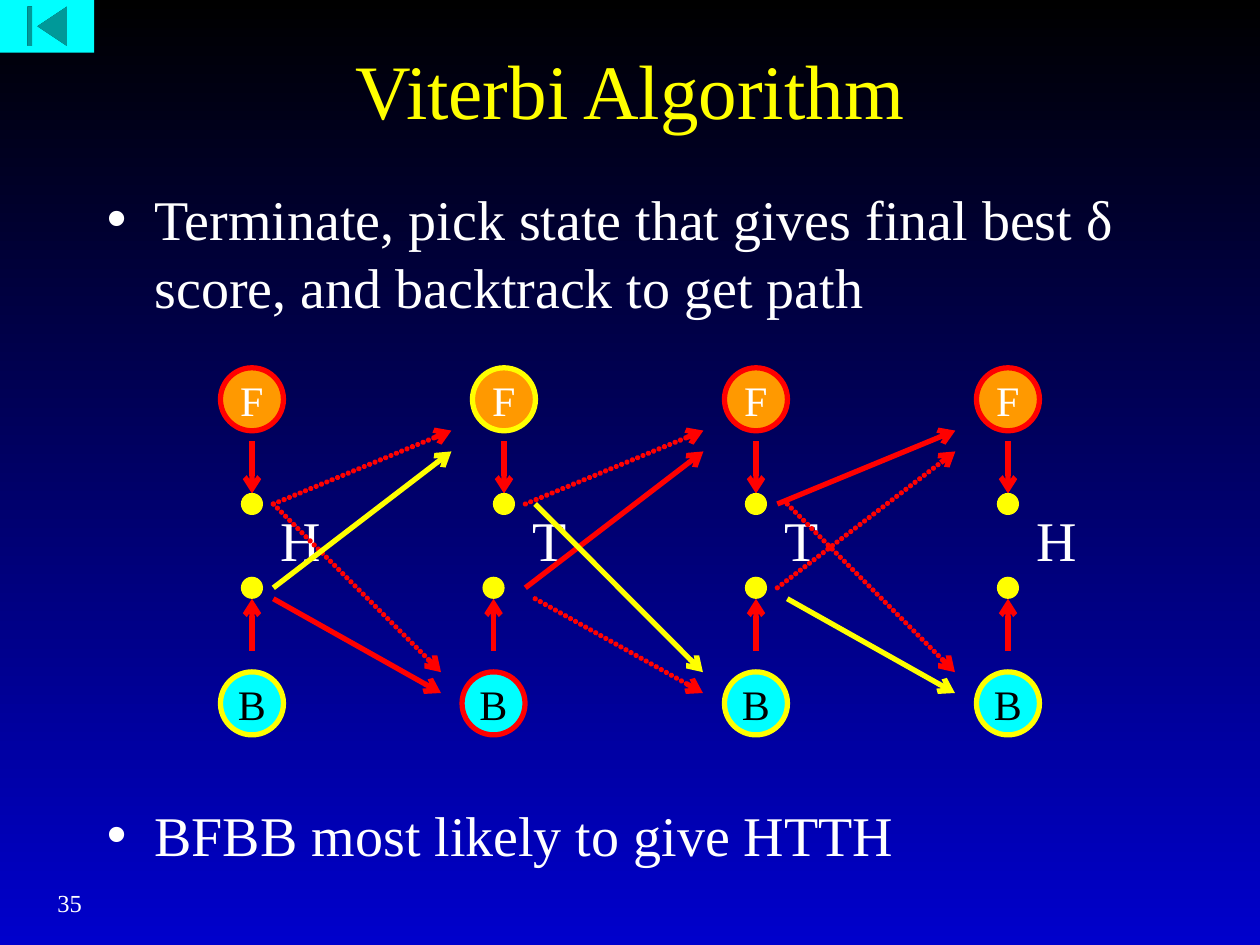
from lxml import etree
from pptx import Presentation
from pptx.dml.color import RGBColor
from pptx.enum import shapes, text
from pptx.oxml.ns import qn
from pptx.util import Cm, Pt

FONT = "Times New Roman"
RED, YELLOW, ORANGE, CYAN = "FF0000", "FFFF00", "FF9900", "00FFFF"
WHITE, BLACK, BLUE = "FFFFFF", "000000", "0000CC"

PITCH = 5.08
STATE_SIZE, DOT_SIZE = 1.27, 0.42
STATE_Y = {"F": 8.05, "B": 14.18}
DOT_Y = {"F": 10.16, "B": 11.85}
EMISSION_Y = {"F": (8.89, 9.95), "B": (13.12, 12.07)}
STATE_COLORS = {"F": (ORANGE, WHITE), "B": (CYAN, BLACK)}
TRANSITION_Y = {
    "FF": (10.16, 8.68),
    "BF": (11.85, 9.1),
    "FB": (10.16, 13.55),
    "BB": (12.07, 13.97),
}
BEST_PATH = "BFBB"
OBSERVED = "HTTH"
SECOND_BEST = ["BB", "BF", "FF"]


def color(value):
    return RGBColor.from_string(value)


def style_text(para, size, value):
    for span in para.runs:
        span.font.name = FONT
        span.font.size = Pt(size)
        span.font.color.rgb = color(value)


def place(shape, left, top, width, height):
    shape.left, shape.top = Cm(left), Cm(top)
    shape.width, shape.height = Cm(width), Cm(height)


def set_background(page):
    fill = page.background.fill
    fill.gradient()
    fill.gradient_angle = 270
    for stop, value in zip(fill.gradient_stops, (BLACK, BLUE)):
        stop.color.rgb = color(value)


def add_title(page, wording):
    title = page.shapes.title
    place(title, 1.9, 0.2, 21.6, 3.18)
    frame = title.text_frame
    frame.text = wording
    frame.auto_size = text.MSO_AUTO_SIZE.NONE
    frame.vertical_anchor = text.MSO_ANCHOR.MIDDLE
    frame.paragraphs[0].alignment = text.PP_ALIGN.CENTER
    style_text(frame.paragraphs[0], 44, YELLOW)


def format_bullet(para):
    props = para._p.get_or_add_pPr()
    props.set("marL", str(Cm(0.96)))
    props.set("indent", str(Cm(-0.96)))
    etree.SubElement(props, qn("a:buChar")).set("char", "•")


def add_body(page):
    body = page.placeholders[1]
    place(body, 1.9, 3.6, 21.6, 14.6)
    frame = body.text_frame
    frame.auto_size = text.MSO_AUTO_SIZE.NONE
    frame.vertical_anchor = text.MSO_ANCHOR.TOP
    lines = [
        ("Terminate, pick state that gives final best δ "
         "score, and backtrack to get path", 0),
        ("BFBB most likely to give HTTH", 275),
    ]
    for number, (wording, gap) in enumerate(lines):
        para = frame.add_paragraph() if number else frame.paragraphs[0]
        para.text = wording
        format_bullet(para)
        para.space_before = Pt(gap)
        style_text(para, 32, WHITE)


def add_page_number(page, number):
    box = page.shapes.add_textbox(Cm(0), Cm(17.78), Cm(1.9), Cm(1.27))
    frame = box.text_frame
    frame.word_wrap = True
    frame.text = number
    frame.paragraphs[0].alignment = text.PP_ALIGN.RIGHT
    style_text(frame.paragraphs[0], 14, WHITE)


def add_symbol(page, x, symbol):
    box = page.shapes.add_textbox(Cm(x + 0.58), Cm(10.2), Cm(1.1), Cm(1.35))
    frame = box.text_frame
    frame.margin_left = frame.margin_right = Cm(0)
    frame.margin_top = frame.margin_bottom = Cm(0)
    frame.text = symbol
    style_text(frame.paragraphs[0], 32, WHITE)


def add_circle(page, x, y, size, fill, outline, weight):
    circle = page.shapes.add_shape(
        shapes.MSO_SHAPE.OVAL,
        Cm(x - size / 2), Cm(y - size / 2), Cm(size), Cm(size))
    circle.shadow.inherit = False
    circle.fill.solid()
    circle.fill.fore_color.rgb = color(fill)
    circle.line.color.rgb = color(outline)
    circle.line.width = Pt(weight)
    return circle


def add_arrow(page, start, end, value, dotted=False):
    arrow = page.shapes.add_connector(
        shapes.MSO_CONNECTOR.STRAIGHT, *map(Cm, start + end))
    arrow.line.color.rgb = color(value)
    arrow.line.width = Pt(3)
    props = arrow._element.spPr
    outline = props.find(qn("a:ln"))
    if dotted:
        outline.set("cap", "rnd")
        dashes = etree.SubElement(outline, qn("a:custDash"))
        dash = etree.SubElement(dashes, qn("a:ds"))
        dash.set("d", "100000")
        dash.set("sp", "10000")
    etree.SubElement(outline, qn("a:tailEnd")).set("type", "arrow")
    etree.SubElement(props, qn("a:effectLst"))


def add_state(page, x, name, on_path):
    fill, ink = STATE_COLORS[name]
    outline = YELLOW if on_path else RED
    state = add_circle(page, x, STATE_Y[name], STATE_SIZE, fill, outline, 3)
    frame = state.text_frame
    frame.word_wrap = False
    frame.vertical_anchor = text.MSO_ANCHOR.MIDDLE
    frame.text = name
    frame.paragraphs[0].alignment = text.PP_ALIGN.CENTER
    style_text(frame.paragraphs[0], 24, ink)
    top, bottom = EMISSION_Y[name]
    add_arrow(page, (x, top), (x, bottom), RED)
    add_circle(page, x, DOT_Y[name], DOT_SIZE, YELLOW, YELLOW, 0.75)


def add_transitions(page, stage):
    column = PITCH * (stage + 1)
    best = BEST_PATH[stage:stage + 2]
    for move in sorted(TRANSITION_Y, key=lambda name: name == best):
        start_y, end_y = TRANSITION_Y[move]
        shift = 0.2 if move.endswith("B") and stage else 0
        start_x = column + 0.43 + shift
        end_x = column + (3.81 if move.endswith("B") else 4.02) + shift
        add_arrow(page, (start_x, start_y), (end_x, end_y),
                  YELLOW if move == best else RED,
                  move not in (best, SECOND_BEST[stage]))


def add_back_button(page):
    button = page.shapes.add_shape(
        shapes.MSO_SHAPE.ACTION_BUTTON_BEGINNING,
        Cm(0), Cm(0), Cm(1.9), Cm(1.06))
    button.shadow.inherit = False
    button.fill.solid()
    button.fill.fore_color.rgb = color(CYAN)
    button.line.fill.background()


def main():
    deck = Presentation()
    deck.slide_width, deck.slide_height = Cm(25.4), Cm(19.05)
    page = deck.slides.add_slide(deck.slide_layouts[1])
    set_background(page)
    add_title(page, "Viterbi Algorithm")
    add_body(page)
    add_page_number(page, "35")
    for column, symbol in enumerate(OBSERVED):
        add_symbol(page, PITCH * (column + 1), symbol)
    for stage in range(len(BEST_PATH) - 1):
        add_transitions(page, stage)
    for column, winner in enumerate(BEST_PATH):
        x = PITCH * (column + 1)
        for name in "FB":
            nudge = 0.21 if (column, name) == (1, "B") else 0
            add_state(page, x - nudge, name, name == winner)
    add_back_button(page)
    deck.save("out.pptx")


if __name__ == "__main__":
    main()
